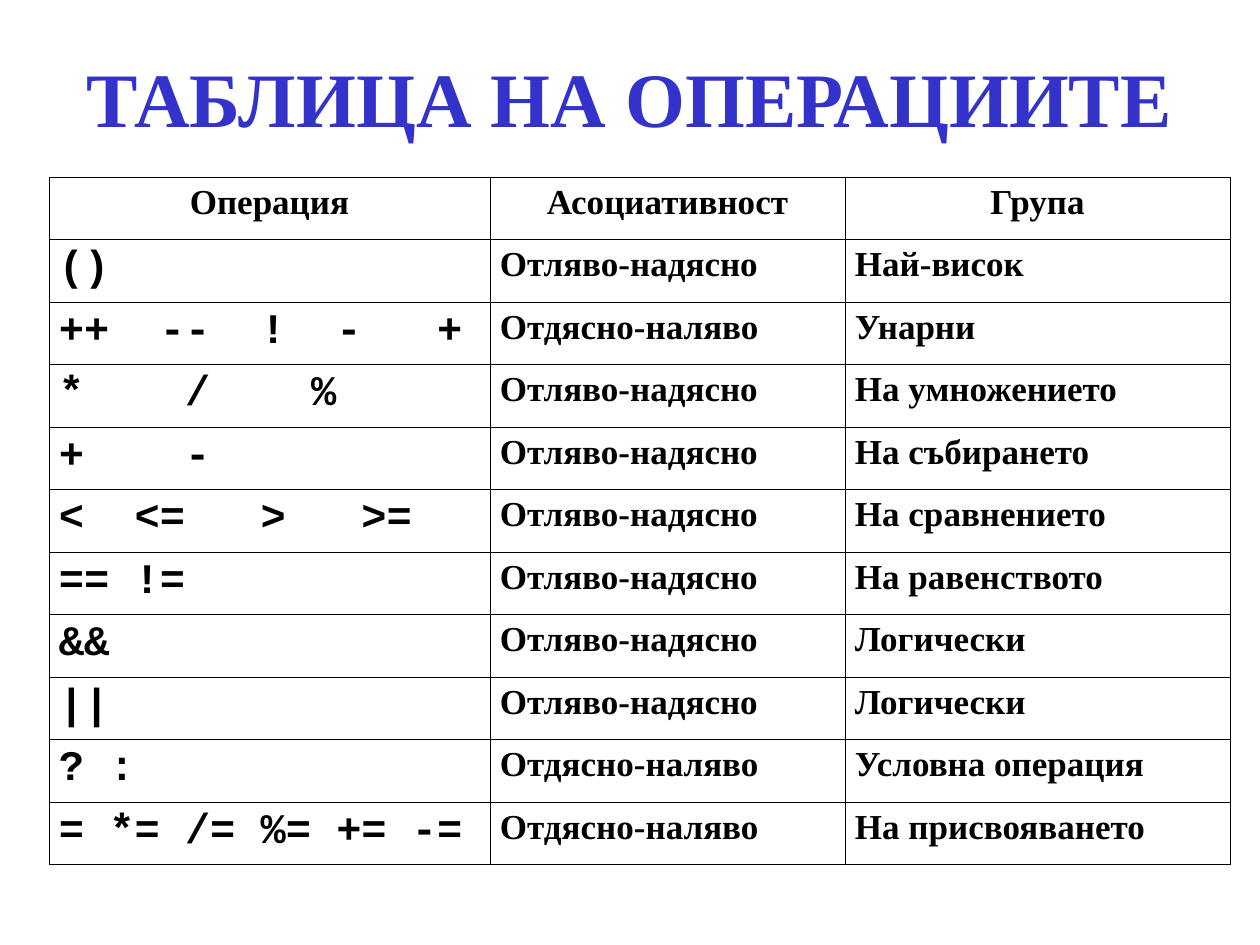
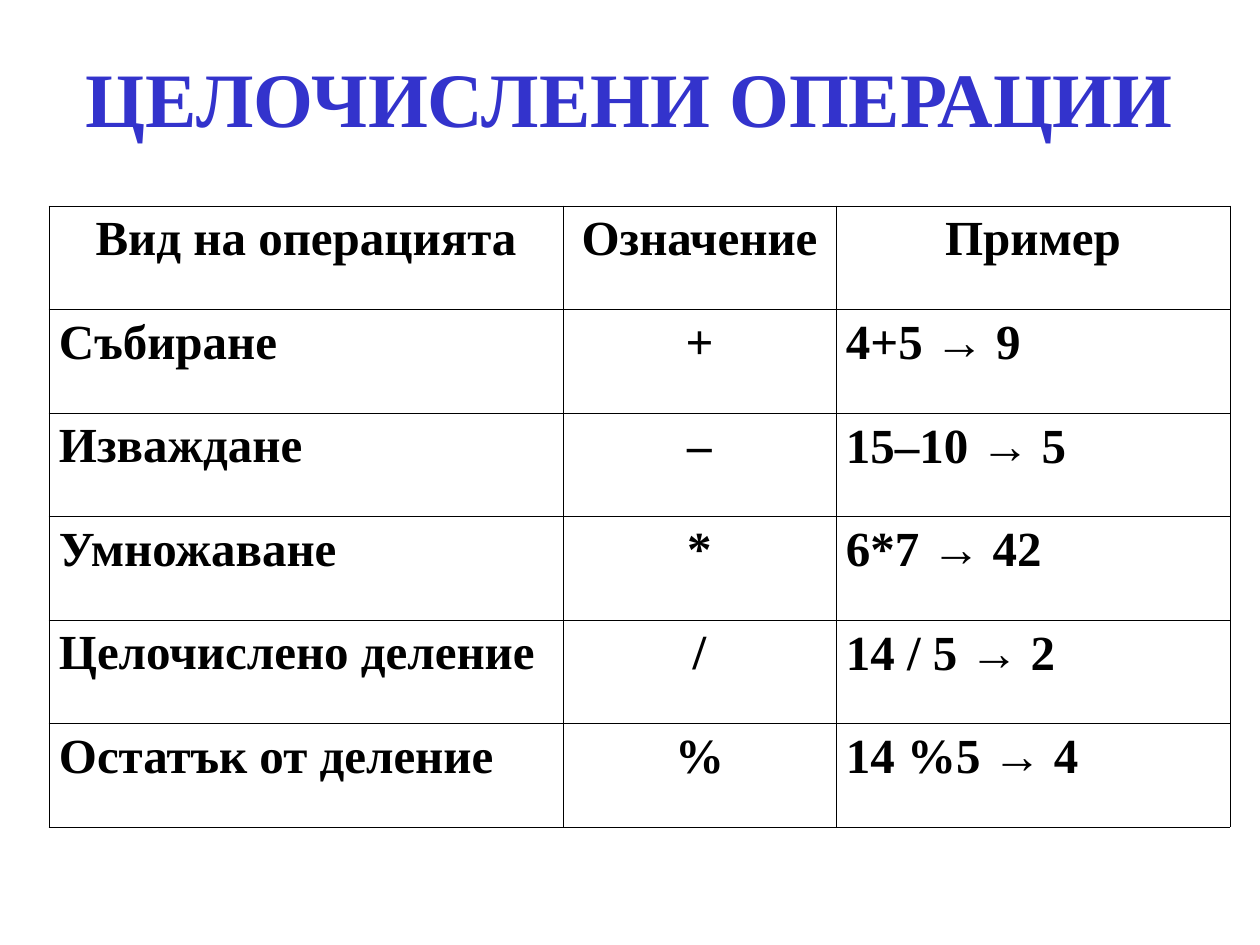
from dataclasses import dataclass

from lxml import etree
from pptx import Presentation
from pptx.dml.color import RGBColor
from pptx.enum.text import MSO_ANCHOR, MSO_AUTO_SIZE, PP_ALIGN
from pptx.oxml.ns import qn
from pptx.util import Emu, Inches, Pt

PX_PER_INCH = 126
BLUE = RGBColor(0x33, 0x33, 0xCC)
BLACK = RGBColor(0x00, 0x00, 0x00)
SERIF = "Times New Roman"
MONO = "Courier New"
ARROW_FONT = "Arial"
ARROW = "→"
CENTER = PP_ALIGN.CENTER
JUSTIFY = PP_ALIGN.JUSTIFY
MIDDLE = MSO_ANCHOR.MIDDLE
NO_AUTOFIT = MSO_AUTO_SIZE.NONE
TITLE_ONLY_LAYOUT = 5
TITLE_BOX = (15, 49, 1230, 95)
TABLE_LEFT = 49
CELL_MARGIN_X = 10
CELL_MARGIN_Y = 6
BORDER_WIDTH = Pt(0.45)


@dataclass(frozen=True)
class ColumnStyle:
    width: int
    font: str
    size: int
    alignment: PP_ALIGN


@dataclass(frozen=True)
class TableSlide:
    title: str
    top: int
    height: int
    header_size: int
    columns: tuple[ColumnStyle, ...]
    rows: tuple[tuple[str, ...], ...]


LEFT_TO_RIGHT = "Отляво-надясно"
RIGHT_TO_LEFT = "Отдясно-наляво"

TABLE_SLIDES = (
    TableSlide(
        "ТАБЛИЦА НА ОПЕРАЦИИТЕ", 177, 688, 20,
        (
            ColumnStyle(441, MONO, 24, JUSTIFY),
            ColumnStyle(355, SERIF, 20, JUSTIFY),
            ColumnStyle(385, SERIF, 20, JUSTIFY),
        ),
        (
            ("Операция", "Асоциативност", "Група"),
            ("()", LEFT_TO_RIGHT, "Най-висок"),
            ("++  --  !  -   +", RIGHT_TO_LEFT, "Унарни"),
            ("*    /    %", LEFT_TO_RIGHT, "На умножението"),
            ("+    -", LEFT_TO_RIGHT, "На събирането"),
            ("<  <=   >   >=", LEFT_TO_RIGHT, "На сравнението"),
            ("== !=", LEFT_TO_RIGHT, "На равенството"),
            ("&&", LEFT_TO_RIGHT, "Логически"),
            ("||", LEFT_TO_RIGHT, "Логически"),
            ("? :", RIGHT_TO_LEFT, "Условна операция"),
            ("= *= /= %= += -=", RIGHT_TO_LEFT, "На присвояването"),
        ),
    ),
    TableSlide(
        "ЦЕЛОЧИСЛЕНИ ОПЕРАЦИИ", 206, 621, 28,
        (
            ColumnStyle(514, SERIF, 28, JUSTIFY),
            ColumnStyle(273, SERIF, 28, CENTER),
            ColumnStyle(394, SERIF, 28, JUSTIFY),
        ),
        (
            ("Вид на операцията", "Означение", "Пример"),
            ("Събиране", "+", "4+5 → 9"),
            ("Изваждане", "–", "15–10 → 5"),
            ("Умножаване", "*", "6*7 → 42"),
            ("Целочислено деление", "/", "14 / 5 → 2"),
            ("Остатък от деление", "%", "14 %5 → 4"),
        ),
    ),
)


def px(length: float) -> Emu:
    return Emu(round(length * Inches(1) / PX_PER_INCH))


def format_paragraph(paragraph, font: str, size: int, color: RGBColor, alignment: PP_ALIGN) -> None:
    paragraph.alignment = alignment
    paragraph.font.name = font
    paragraph.font.size = Pt(size)
    paragraph.font.bold = True
    paragraph.font.color.rgb = color


def add_title(slide, text: str) -> None:
    title = slide.shapes.title
    title.left, title.top, title.width, title.height = map(px, TITLE_BOX)
    frame = title.text_frame
    frame.text = text
    frame.word_wrap = True
    frame.auto_size = NO_AUTOFIT
    frame.vertical_anchor = MIDDLE
    format_paragraph(frame.paragraphs[0], SERIF, 44, BLUE, CENTER)


def add_borders(cell) -> None:
    properties = cell._tc.get_or_add_tcPr()
    for side in ("a:lnL", "a:lnR", "a:lnT", "a:lnB"):
        line = etree.SubElement(properties, qn(side), w=str(int(BORDER_WIDTH)))
        fill = etree.SubElement(line, qn("a:solidFill"))
        etree.SubElement(fill, qn("a:srgbClr"), val=str(BLACK))


def fill_cell(cell, text: str, style: ColumnStyle) -> None:
    cell.margin_left = cell.margin_right = px(CELL_MARGIN_X)
    cell.margin_top = cell.margin_bottom = px(CELL_MARGIN_Y)
    add_borders(cell)
    cell.fill.background()
    paragraph = cell.text_frame.paragraphs[0]
    format_paragraph(paragraph, style.font, style.size, BLACK, style.alignment)
    for part in filter(None, text.partition(ARROW)):
        run = paragraph.add_run()
        run.text = part
        if part == ARROW:
            run.font.name = ARROW_FONT


def add_operations_table(slide, content: TableSlide) -> None:
    width = sum(column.width for column in content.columns)
    table = slide.shapes.add_table(
        len(content.rows), len(content.columns),
        px(TABLE_LEFT), px(content.top), px(width), px(content.height),
    ).table
    table.first_row = False
    table.horz_banding = False
    for row in table.rows:
        row.height = px(content.height / len(content.rows))
    for column_index, style in enumerate(content.columns):
        table.columns[column_index].width = px(style.width)
        header_style = ColumnStyle(style.width, SERIF, content.header_size, CENTER)
        for row_index, texts in enumerate(content.rows):
            cell_style = style if row_index else header_style
            fill_cell(table.cell(row_index, column_index), texts[column_index], cell_style)


def main() -> None:
    presentation = Presentation()
    presentation.slide_width = Inches(10)
    presentation.slide_height = Inches(7.5)
    for content in TABLE_SLIDES:
        slide = presentation.slides.add_slide(presentation.slide_layouts[TITLE_ONLY_LAYOUT])
        add_title(slide, content.title)
        add_operations_table(slide, content)
    presentation.save("out.pptx")


if __name__ == "__main__":
    main()
